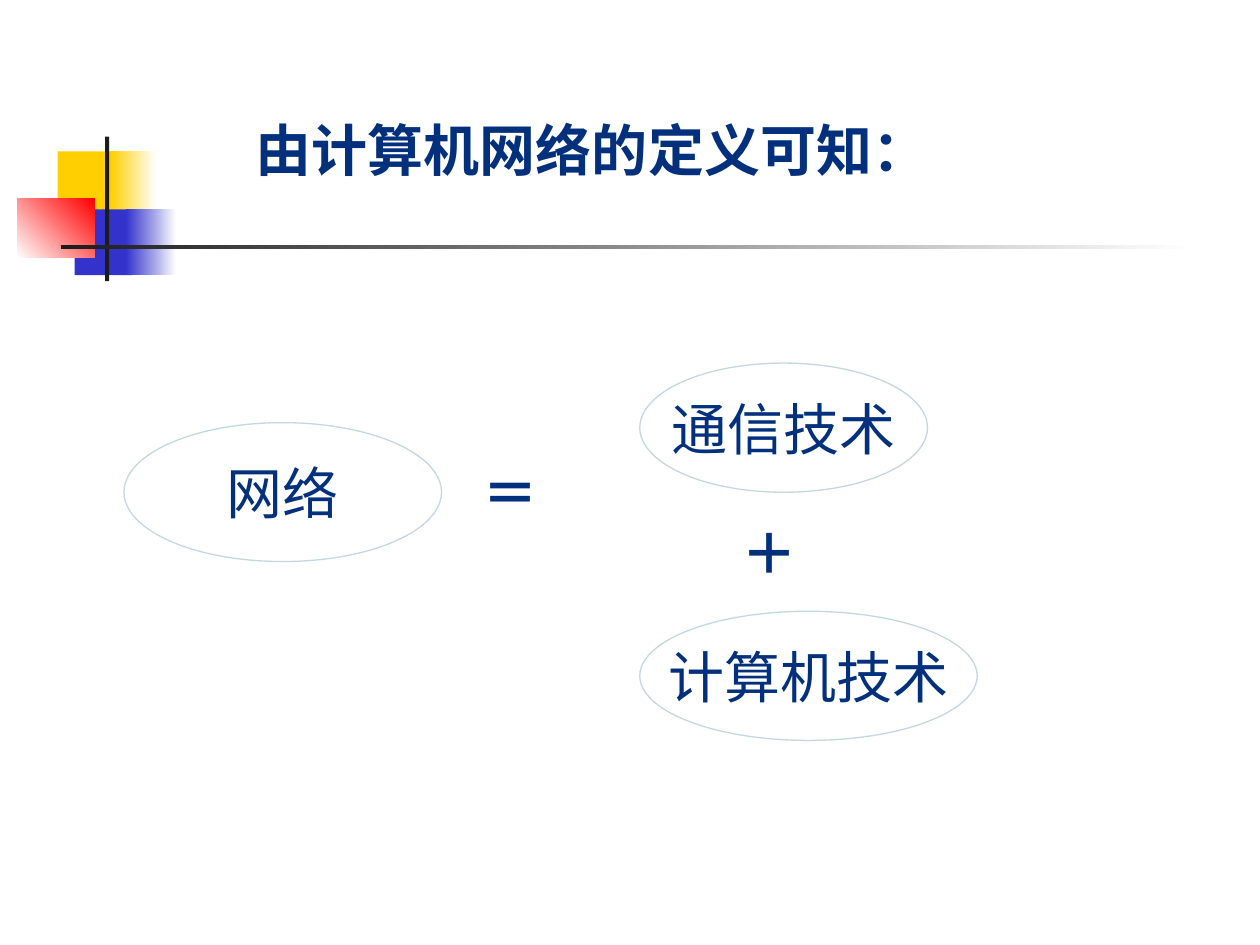
from lxml.etree import SubElement
from pptx import Presentation
from pptx.dml.color import RGBColor
from pptx.enum.shapes import MSO_SHAPE as Preset
from pptx.enum.text import MSO_ANCHOR as Anchor, PP_ALIGN as Align
from pptx.oxml.ns import qn
from pptx.util import Pt


def color(code):
    return RGBColor.from_string(code)


class SlideBuilder:
    """Holds the deck style and draws elements on the current slide."""

    ink = "02307C"
    outline = "C3D7E1"
    east_font = "Noto Sans CJK SC"
    size = 32

    def __init__(self, page):
        self.page = page

    def shape(self, preset, area):
        box = self.page.shapes.add_shape(preset, *map(Pt, area))
        box.shadow.inherit = False
        return box

    def block(self, area, *colors, angle=0):
        box = self.shape(Preset.RECTANGLE, area)
        box.line.fill.background()
        if len(colors) == 1:
            box.fill.solid()
            box.fill.fore_color.rgb = color(colors[0])
            return
        box.fill.gradient()
        box.fill.gradient_angle = angle
        for position, (stop, code) in enumerate(zip(box.fill.gradient_stops, colors)):
            stop.position = position
            stop.color.rgb = color(code)

    def set_text(self, box, text, font="Arial", bold=False, align=Align.CENTER,
                 spacing=None, **frame_format):
        frame = box.text_frame
        for name, value in frame_format.items():
            setattr(frame, name, value)
        para = frame.paragraphs[0]
        para.alignment, para.line_spacing = align, spacing
        span = para.add_run()
        span.text = text
        style = {"name": font, "size": Pt(self.size), "bold": bold}
        for name, value in style.items():
            setattr(span.font, name, value)
        span.font.color.rgb = color(self.ink)
        SubElement(span._r.get_or_add_rPr(), qn("a:ea"), typeface=self.east_font)

    def label(self, area, text, **options):
        box = self.page.shapes.add_textbox(*map(Pt, area))
        self.set_text(box, text, bold=True, **options)

    def bubble(self, area, text):
        box = self.shape(Preset.OVAL, area)
        box.fill.solid()
        box.fill.fore_color.rgb = color("FFFFFF")
        box.line.color.rgb = color(self.outline)
        box.line.width = Pt(0.75)
        self.set_text(box, text, vertical_anchor=Anchor.MIDDLE, word_wrap=False)


def main():
    deck = Presentation()
    deck.slide_width, deck.slide_height = Pt(720), Pt(540)
    builder = SlideBuilder(deck.slides.add_slide(deck.slide_layouts[6]))

    white, yellow, blue, red, black = "FFFFFF", "FFCF01", "3333CC", "FF0000", "1C1C1C"
    builder.block((33, 86.5, 34.5, 37.5), yellow)
    builder.block((63, 86.5, 26, 37.5), yellow, white)
    builder.block((42.7, 119.7, 33, 37.5), blue)
    builder.block((72, 119.7, 28.8, 37.5), blue, white)
    builder.block((9.8, 113.7, 44.4, 33.6), white, red, angle=45)
    builder.block((60, 78, 2.4, 82.7), black)
    builder.block((34.8, 140.1, 648, 2.4), black, white)

    builder.label((110.2, 60.5, 509.8, 47.5), "由计算机网络的定义可知：",
                  font=builder.east_font, align=Align.LEFT, spacing=1.05,
                  margin_left=Pt(36), vertical_anchor=Anchor.MIDDLE, word_wrap=True)
    builder.bubble((70.8, 241.5, 181.5, 79.4), "网络")
    builder.bubble((365.6, 207.5, 164.4, 73.8), "通信技术")
    builder.bubble((365.6, 349.3, 192.8, 73.8), "计算机技术")
    builder.label((257.8, 258.5, 67.7, 46), "＝", word_wrap=True)
    builder.label((416.9, 292.5, 46, 46), "＋", word_wrap=False)

    deck.save("out.pptx")


if __name__ == "__main__":
    main()
